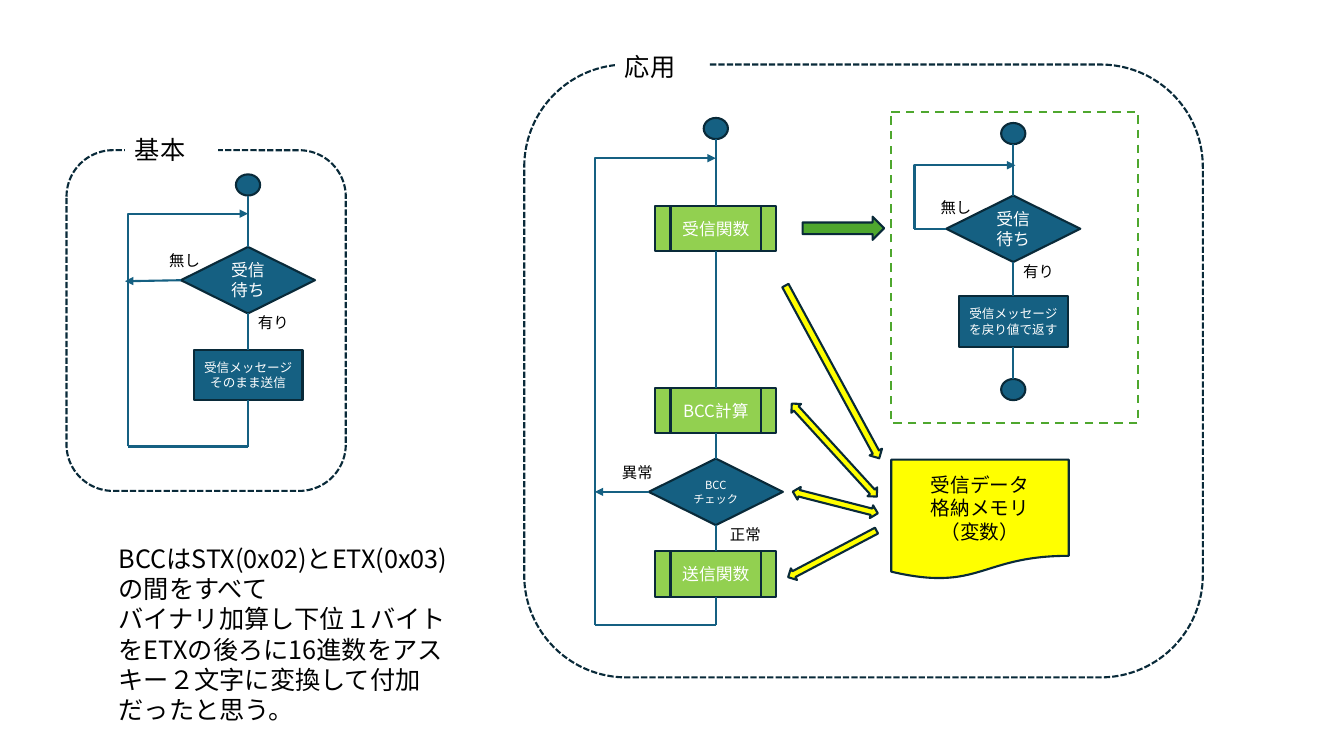
from lxml.etree import SubElement
from pptx import Presentation
from pptx.dml.color import RGBColor
from pptx.enum.dml import MSO_LINE
from pptx.enum.shapes import MSO_CONNECTOR, MSO_SHAPE
from pptx.enum.text import MSO_ANCHOR, MSO_AUTO_SIZE, PP_ALIGN
from pptx.oxml.ns import qn
from pptx.util import Inches, Pt

FONT = "Noto Sans CJK JP"
BLUE = RGBColor(0x15, 0x60, 0x82)
NAVY = RGBColor(0x09, 0x2A, 0x39)
LIME = RGBColor(0x92, 0xD0, 0x50)
GREEN = RGBColor(0x4E, 0xA7, 0x2E)
YELLOW = RGBColor(0xFF, 0xFF, 0x00)
WHITE = RGBColor(0xFF, 0xFF, 0xFF)
BLACK = RGBColor(0, 0, 0)

TOP, LEFT, BOTTOM, RIGHT = range(4)
BASIC_X, MAIN_X, RECEIVE_X = 2.46, 7.1, 10.05

KINDS = {
    "terminal": (MSO_SHAPE.FLOWCHART_CONNECTOR, 0.24, 0.21, BLUE),
    "decision": (MSO_SHAPE.FLOWCHART_DECISION, 1.33, 0.66, BLUE),
    "process": (MSO_SHAPE.FLOWCHART_PROCESS, 1.08, 0.5, BLUE),
    "function": (MSO_SHAPE.FLOWCHART_PREDEFINED_PROCESS, 1.2, 0.45, LIME),
}
NODES = {
    "basic start": ("terminal", BASIC_X, 1.73, "", 12),
    "basic wait": ("decision", BASIC_X, 2.45, "受信待ち", 12),
    "basic send": ("process", BASIC_X, 3.47, "受信メッセージそのまま送信", 9),
    "main start": ("terminal", MAIN_X, 1.17, "", 12),
    "receive": ("function", MAIN_X, 2.04, "受信関数", 12),
    "bcc": ("function", MAIN_X, 3.85, "BCC計算", 12),
    "check": ("decision", MAIN_X, 4.55, "BCCチェック", 8),
    "send": ("function", MAIN_X, 5.47, "送信関数", 12),
    "receive start": ("terminal", RECEIVE_X, 1.22, "", 12),
    "receive wait": ("decision", RECEIVE_X, 1.94, "受信待ち", 12),
    "return": ("process", RECEIVE_X, 2.94, "受信メッセージを戻り値で返す", 9),
    "receive end": ("terminal", RECEIVE_X, 3.76, "", 12),
}
CHAINS = [
    ["basic start", "basic wait", "basic send"],
    ["main start", "receive", "bcc", "check", "send"],
    ["receive start", "receive wait", "return", "receive end"],
]
BRANCHES = [
    ("basic send", BOTTOM, (BASIC_X, 4.43), False),
    ("basic wait", LEFT, (1.24, 2.79), True),
    ("send", BOTTOM, (MAIN_X, 6.2), False),
    ("check", LEFT, (5.9, 4.88), True),
    ("receive wait", LEFT, (9.07, 2.27), False),
]
RETURN_BASES = [((BASIC_X, 4.43), (1.27, 4.43)), ((MAIN_X, 6.2), (5.9, 6.2))]
RETURN_LOOPS = [
    ((1.27, 4.43), (BASIC_X, 2.12), True),
    ((5.9, 6.2), (MAIN_X, 1.57), True),
    ((9.07, 2.27), (10.07, 1.64), False),
]
LABELS = [
    ("無し", 1.58, 2.44), ("有り", 2.46, 3.06),
    ("無し", 9.23, 1.92), ("有り", 10.05, 2.55),
    ("正常", 7.14, 5.16), ("異常", 6.07, 4.54),
]
FRAMES = [
    (MSO_SHAPE.ROUNDED_RECTANGLE, 0.66, 1.49, 2.77, 3.38, NAVY, MSO_LINE.SQUARE_DOT),
    (MSO_SHAPE.ROUNDED_RECTANGLE, 5.2, 0.64, 6.73, 6.08, NAVY, MSO_LINE.SQUARE_DOT),
    (MSO_SHAPE.FLOWCHART_PROCESS, 8.84, 1.11, 2.45, 3.09, GREEN, MSO_LINE.DASH),
]
FRAME_TITLES = [("基本", 1.24, 1.28), ("応用", 6.1, 0.46)]
DATA_ARROWS = [
    (MSO_SHAPE.RIGHT_ARROW, 7.96, 2.15, 0.81, 0.23, 0, GREEN),
    (MSO_SHAPE.RIGHT_ARROW, 7.28, 3.62, 1.95, 0.14, 61.5, YELLOW),
    (MSO_SHAPE.UP_DOWN_ARROW, 8.21, 3.84, 0.13, 1.25, 317.6, YELLOW),
    (MSO_SHAPE.RIGHT_ARROW, 7.76, 5.43, 0.99, 0.13, 152.2, YELLOW),
    (MSO_SHAPE.UP_DOWN_ARROW, 8.22, 4.55, 0.13, 0.87, 284.3, YELLOW),
]
MEMORY = "受信データ\n格納メモリ\n（変数）"
BCC_NOTE = (
    "BCCはSTX(0x02)とETX(0x03)の間をすべて\n"
    "バイナリ加算し下位１バイトをETXの後ろに16進数をアスキー２文字に変換して付加だったと思う。"
)

prs = Presentation()
prs.slide_width, prs.slide_height = Inches(13.33), Inches(7.5)
slide = prs.slides.add_slide(prs.slide_layouts[6])


def write(shape, text, size, color, align):
    frame = shape.text_frame
    frame.word_wrap = True
    frame.text = text
    for paragraph in frame.paragraphs:
        paragraph.alignment = align
        for run in paragraph.runs:
            run.font.size = Pt(size)
            run.font.color.rgb = color
            run.font.name = FONT
            SubElement(run.font._element, qn("a:ea"), typeface=FONT)


def add_block(preset, left, top, width, height, fill, line=NAVY):
    block = slide.shapes.add_shape(preset, *map(Inches, (left, top, width, height)))
    block.shadow.inherit = False
    if fill is None:
        block.fill.background()
    else:
        block.fill.solid()
        block.fill.fore_color.rgb = fill
    block.line.color.rgb = line
    block.line.width = Pt(1.5)
    block.text_frame.vertical_anchor = MSO_ANCHOR.MIDDLE
    return block


def add_text(text, left, top, width, height, size):
    box = slide.shapes.add_textbox(*map(Inches, (left, top, width, height)))
    write(box, text, size, BLACK, PP_ALIGN.LEFT)
    box.text_frame.auto_size = MSO_AUTO_SIZE.SHAPE_TO_FIT_TEXT
    return box


def add_line(begin, end, arrow=False, style=MSO_CONNECTOR.STRAIGHT):
    line = slide.shapes.add_connector(style, *map(Inches, (*begin, *end)))
    line.line.color.rgb = BLUE
    line.line.width = Pt(1.5)
    if arrow:
        SubElement(line.line._get_or_add_ln(), qn("a:tailEnd"), type="triangle")
    SubElement(line._element.spPr, qn("a:effectLst"))
    return line


def add_loop(begin, end, upright):
    (x1, y1), (x2, y2) = begin, end
    if upright:
        middle_x, middle_y = (x1 + x2) / 2, (y1 + y2) / 2
        half_w, half_h = abs(y2 - y1) / 2, abs(x2 - x1) / 2
        begin = (middle_x + half_w, middle_y + half_h)
        end = (middle_x - half_w, middle_y - half_h)
    loop = add_line(begin, end, True, MSO_CONNECTOR.ELBOW)
    properties = loop._element.spPr
    if upright:
        properties.find(qn("a:xfrm")).set("rot", "5400000")
    adjustments = properties.find(qn("a:prstGeom")).find(qn("a:avLst"))
    bend = 100000 if upright else 0
    SubElement(adjustments, qn("a:gd"), name="adj1", fmla=f"val {bend}")


def side(key, site):
    kind, center, top, _, _ = NODES[key]
    _, width, height, _ = KINDS[kind]
    return {
        TOP: (center, top),
        LEFT: (center - width / 2, top + height / 2),
        BOTTOM: (center, top + height),
        RIGHT: (center + width / 2, top + height / 2),
    }[site]


steps = {}
for key, (kind, center, top, text, size) in NODES.items():
    preset, width, height, fill = KINDS[kind]
    steps[key] = add_block(preset, center - width / 2, top, width, height, fill)
    if text:
        write(steps[key], text, size, WHITE, PP_ALIGN.CENTER)

for chain in CHAINS:
    for upper, lower in zip(chain, chain[1:]):
        link = add_line(side(upper, BOTTOM), side(lower, TOP))
        if NODES[upper][0] != "terminal":
            link.begin_connect(steps[upper], BOTTOM)
        link.end_connect(steps[lower], TOP)
for key, site, end, arrow in BRANCHES:
    add_line(side(key, site), end, arrow).begin_connect(steps[key], site)
for begin, end in RETURN_BASES:
    add_line(begin, end)
for loop in RETURN_LOOPS:
    add_loop(*loop)

for text, left, top in LABELS:
    add_text(text, left, top, 0.99, 0.29, 11)

memory = add_block(MSO_SHAPE.FLOWCHART_DOCUMENT, 8.84, 4.56, 1.76, 1.19, YELLOW)
write(memory, MEMORY, 14, BLACK, PP_ALIGN.CENTER)

for preset, left, top, width, height, angle, fill in DATA_ARROWS:
    add_block(preset, left, top, width, height, fill).rotation = angle

for preset, left, top, width, height, color, dash in FRAMES:
    add_block(preset, left, top, width, height, None, color).line.dash_style = dash
for text, left, top in FRAME_TITLES:
    title = add_text(text, left, top, 0.92, 0.4, 18)
    title.fill.solid()
    title.fill.fore_color.rgb = WHITE

add_text(BCC_NOTE, 1.08, 5.34, 3.57, 1.92, 18)

prs.save("out.pptx")
